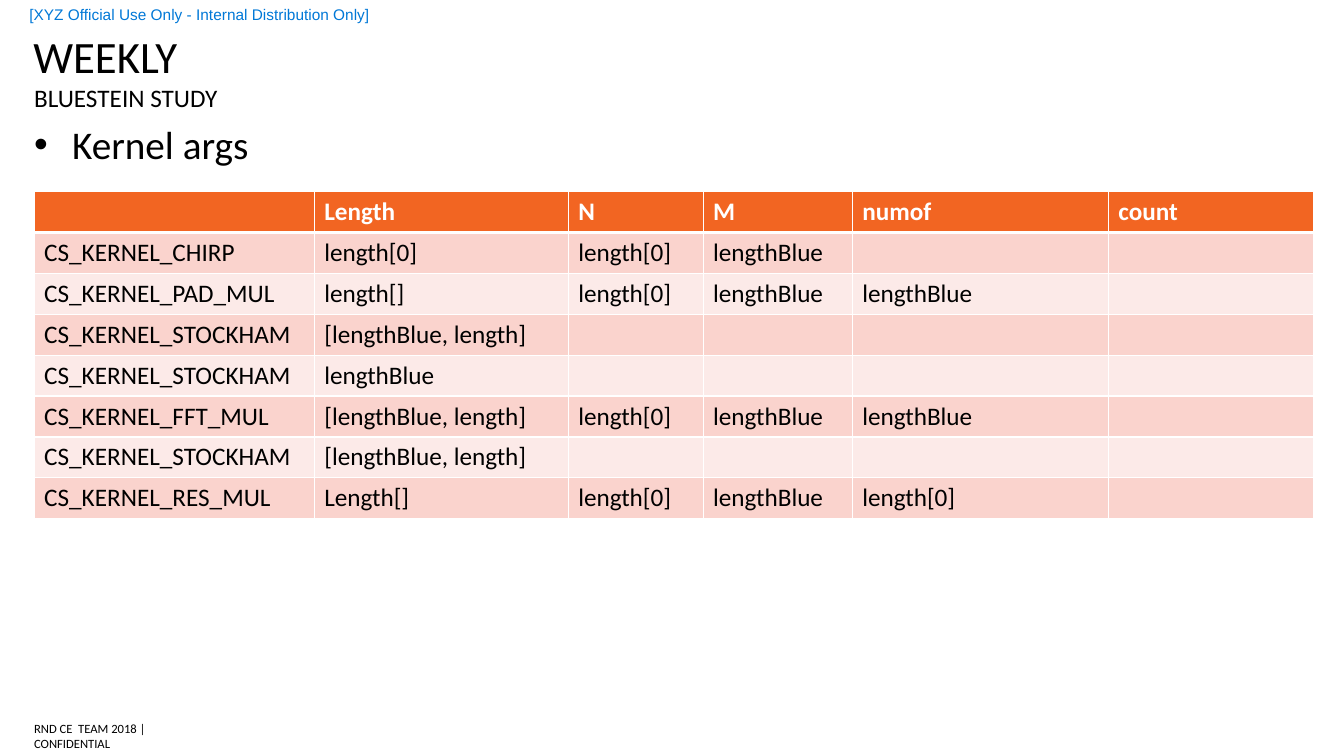
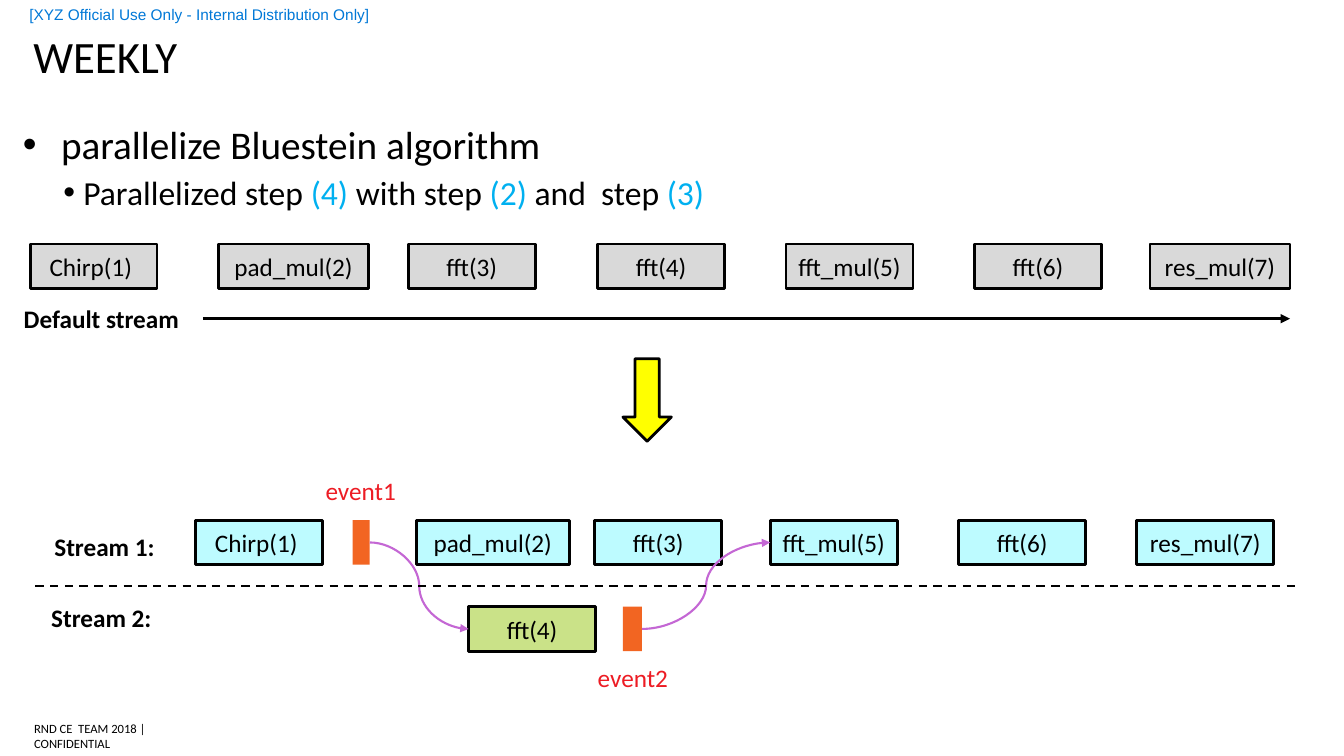
import pptx
import pptx.dml.color
import pptx.enum.dml
import pptx.enum.shapes
import pptx.enum.text
import pptx.oxml
import pptx.oxml.ns
import pptx.util
from lxml import etree

Cm, Pt = pptx.util.Cm, pptx.util.Pt
SHAPE = pptx.enum.shapes.MSO_SHAPE
LINK = pptx.enum.shapes.MSO_CONNECTOR
ALIGN = pptx.enum.text.PP_ALIGN
ANCHOR = pptx.enum.text.MSO_ANCHOR
qn = pptx.oxml.ns.qn

COLORS = {
    "black": "000000", "white": "FFFFFF", "notice": "0078D7", "step": "00B0F0",
    "orange": "F26522", "band": "FAD3CD", "pale": "FCEAE8", "gray": "D9D9D9",
    "cyan": "BDFBFF", "green": "CAE288", "yellow": "FFFF00",
    "purple": "C467D4", "red": "ED1C24",
}


def rgb(name):
    return pptx.dml.color.RGBColor.from_string(COLORS[name])


def add_text(p, text, size=18, color="black", bold=False, font="Calibri", align=None):
    """Add one formatted run to a paragraph."""
    r = p.add_run()
    r.text = text
    r.font.size, r.font.bold, r.font.name = Pt(size), bold, font
    r.font.color.rgb = rgb(color)
    if align is not None:
        p.alignment = align


class Deck:
    BOX_W, BOX_H = 3.2, 1.12

    def __init__(self):
        self.prs = pptx.Presentation()
        self.prs.slide_width, self.prs.slide_height = Cm(33.87), Cm(19.05)
        self.s = None

    def slide(self, title, subtitle=None):
        """Start a slide with the shared notice, title and footer."""
        self.s = self.prs.slides.add_slide(self.prs.slide_layouts[6])
        self.text("RND CE  TEAM 2018 |   CONFIDENTIAL", 0.86, 18.24, 4.93, 0.61,
                  wrap=False, size=9)
        self.text("[XYZ Official Use Only - Internal Distribution Only]",
                  0, 0, 9.7, 0.74, inset=(0.74, 0, 0, 0), wrap=False,
                  size=11, color="notice", font="Arial")
        self.text(title, 0.84, 0.76, 32.26, 1.32, anchor=ANCHOR.BOTTOM,
                  inset=(0, 0.13, 0, 0), size=32)
        if subtitle:
            self.text(subtitle, 0.86, 2.08, 32.26, 0.79, anchor=ANCHOR.TOP)

    def frame(self, x, y, w, h, anchor=ANCHOR.MIDDLE, inset=(0, 0, 0, 0), wrap=True):
        sp = self.s.shapes.add_textbox(Cm(x), Cm(y), Cm(w), Cm(h))
        tf = sp.text_frame
        tf.word_wrap, tf.vertical_anchor = wrap, anchor
        tf.margin_left, tf.margin_top, tf.margin_right, tf.margin_bottom = map(Cm, inset)
        return sp

    def text(self, text, x, y, w, h, anchor=ANCHOR.MIDDLE, inset=(0, 0, 0, 0),
             wrap=True, **fmt):
        sp = self.frame(x, y, w, h, anchor, inset, wrap)
        add_text(sp.text_frame.paragraphs[0], text, **fmt)
        return sp

    def label(self, text, x, y, w=BOX_W, **fmt):
        return self.text(text, x, y, w, self.BOX_H, align=ALIGN.CENTER, **fmt)

    def bullets(self, x, items):
        """Each item: runs of (text, color), size, left margin, hang, space before."""
        tf = self.frame(x, 2.9, 31.5, 3, ANCHOR.TOP, (0, 0.13, 0, 0.13)).text_frame
        for i, (runs, size, margin, hang, before) in enumerate(items):
            p = tf.add_paragraph() if i else tf.paragraphs[0]
            p.space_before = Pt(before)
            pPr = p._p.get_or_add_pPr()
            pPr.set("marL", str(Cm(margin)))
            pPr.set("indent", str(-Cm(hang)))
            etree.SubElement(pPr, qn("a:buFont")).set("typeface", "Arial")
            etree.SubElement(pPr, qn("a:buChar")).set("char", "•")
            for text, color in runs:
                add_text(p, text, size=size, color=color)

    def shape(self, x, y, w, h, fill, kind=SHAPE.RECTANGLE, line=True):
        sp = self.s.shapes.add_shape(kind, Cm(x), Cm(y), Cm(w), Cm(h))
        sp.shadow.inherit = False
        sp.fill.solid()
        sp.fill.fore_color.rgb = rgb(fill)
        if line:
            sp.line.color.rgb, sp.line.width = rgb("black"), Pt(2)
        else:
            sp.line.fill.background()
        return sp

    def box(self, text, x, y, fill, w=BOX_W):
        sp = self.shape(x, y, w, self.BOX_H, fill)
        sp.text_frame.word_wrap = True
        sp.text_frame.vertical_anchor = ANCHOR.MIDDLE
        add_text(sp.text_frame.paragraphs[0], text, align=ALIGN.CENTER)
        return sp

    def connector(self, x1, y1, x2, y2, color="black", width=1.5,
                  kind=LINK.STRAIGHT, arrow=False, dash=False):
        c = self.s.shapes.add_connector(kind, x1, y1, x2, y2)
        c.line.color.rgb, c.line.width = rgb(color), Pt(width)
        if dash:
            c.line.dash_style = pptx.enum.dml.MSO_LINE.DASH
        if arrow:
            ln = c.line._get_or_add_ln()
            etree.SubElement(ln, qn("a:tailEnd")).set("type", "triangle")
        etree.SubElement(c.element.spPr, qn("a:effectLst"))
        return c

    def curve(self, a, b):
        """Curved arrow from the right side of a to the left side of b."""
        c = self.connector(a.left + a.width, a.top + a.height // 2,
                           b.left, b.top + b.height // 2,
                           color="purple", kind=LINK.CURVE, arrow=True)
        c.begin_connect(a, 3)
        c.end_connect(b, 1)

    def table(self, x, y, widths, row_h, rows):
        tbl = self.s.shapes.add_table(len(rows), len(widths), Cm(x), Cm(y),
                                      Cm(sum(widths)), Cm(row_h * len(rows))).table
        tbl.first_row = tbl.horz_banding = False
        for col, w in zip(tbl.columns, widths):
            col.width = Cm(w)
        for i, row in enumerate(rows):
            tbl.rows[i].height = Cm(row_h)
            fill = "orange" if i == 0 else ("band" if i % 2 else "pale")
            for j in range(len(widths)):
                cell = tbl.cell(i, j)
                self.borders(cell, top=3 if i == 1 else 1, bottom=1 if i else 3)
                cell.fill.solid()
                cell.fill.fore_color.rgb = rgb(fill)
                if j < len(row) and row[j]:
                    add_text(cell.text_frame.paragraphs[0], row[j], bold=i == 0,
                             color="black" if i else "white")

    def borders(self, cell, top, bottom):
        tcPr = cell._tc.get_or_add_tcPr()
        for side, width in (("L", 1), ("R", 1), ("T", top), ("B", bottom)):
            ln = etree.SubElement(tcPr, qn("a:ln" + side), w=str(Pt(width)))
            fill = etree.SubElement(ln, qn("a:solidFill"))
            etree.SubElement(fill, qn("a:srgbClr")).set("val", COLORS["white"])


def kernel_args(d):
    d.slide("WEEKLY", "BLUESTEIN STUDY")
    d.bullets(0.86, [([("Kernel args", "black")], 28, 0.96, 0.96, 0)])
    both = "[lengthBlue, length]"
    d.table(0.86, 4.83, [7.06, 6.4, 3.4, 3.76, 6.45, 5.18], 1.03, [
        ["", "Length", "N", "M", "numof", "count"],
        ["CS_KERNEL_CHIRP", "length[0]", "length[0]", "lengthBlue"],
        ["CS_KERNEL_PAD_MUL", "length[]", "length[0]", "lengthBlue", "lengthBlue"],
        ["CS_KERNEL_STOCKHAM", both],
        ["CS_KERNEL_STOCKHAM", "lengthBlue"],
        ["CS_KERNEL_FFT_MUL", both, "length[0]", "lengthBlue", "lengthBlue"],
        ["CS_KERNEL_STOCKHAM", both],
        ["CS_KERNEL_RES_MUL", "Length[]", "length[0]", "lengthBlue", "length[0]"],
    ])


def parallel_streams(d):
    d.slide("WEEKLY")
    d.bullets(0.58, [
        ([("parallelize Bluestein algorithm", "black")], 28, 0.96, 0.96, 0),
        ([("Parallelized step ", "black"), ("(4) ", "step"), ("with step ", "black"),
          ("(2)", "step"), (" and  step ", "black"), ("(3)", "step")],
         24, 1.52, 0.5, 3),
    ])

    # Default stream: every step in sequence
    for text, x, w in [("Chirp(1) ", 0.76, 3.2), ("pad_mul(2)", 5.51, 3.78),
                       ("fft(3)", 10.29, 3.2), ("fft(4)", 15.06, 3.2),
                       ("fft_mul(5)", 19.81, 3.2), ("fft(6)", 24.56, 3.2),
                       ("res_mul(7)", 28.98, 3.53)]:
        d.box(text, x, 6.15, "gray", w)
    stream = d.label("Default stream", 0, 7.47, 5.11, bold=True)
    axis = d.connector(Cm(5.11), Cm(8.03), Cm(32.51), Cm(8.03), width=2.25, arrow=True)
    axis.begin_connect(stream, 3)
    d.shape(15.7, 9.04, 1.22, 2.08, "yellow", SHAPE.DOWN_ARROW)

    # Two streams, synchronised by events
    top, low = 13.11, 15.29
    steps = {}
    for text, x, w in [("Chirp(1) ", 4.93, 3.2), ("pad_mul(2)", 10.49, 3.86),
                       ("fft(3)", 14.99, 3.2), ("fft_mul(5)", 19.41, 3.2),
                       ("fft(6)", 24.16, 3.2), ("res_mul(7)", 28.65, 3.45)]:
        steps[text] = d.box(text, x, top, "cyan", w)
    fft4 = d.box("fft(4)", 11.81, low, "green")
    event1 = d.shape(8.89, top, 0.43, d.BOX_H, "orange", line=False)
    event2 = d.shape(15.7, low, 0.48, d.BOX_H, "orange", line=False)
    d.curve(event1, fft4)
    d.curve(event2, steps["fft_mul(5)"])
    d.label("event1", 7.49, 11.79, color="red")
    d.label("event2", 14.35, 16.51, color="red")
    d.label("Stream 1:", 0.08, 13.21, 5.11, bold=True)
    d.label("Stream 2:", 0, 15.01, 5.11, bold=True)
    d.connector(Cm(0.89), Cm(14.76), Cm(32.72), Cm(14.76), dash=True)


def main():
    d = Deck()
    kernel_args(d)
    parallel_streams(d)
    d.prs.save("out.pptx")


if __name__ == "__main__":
    main()
